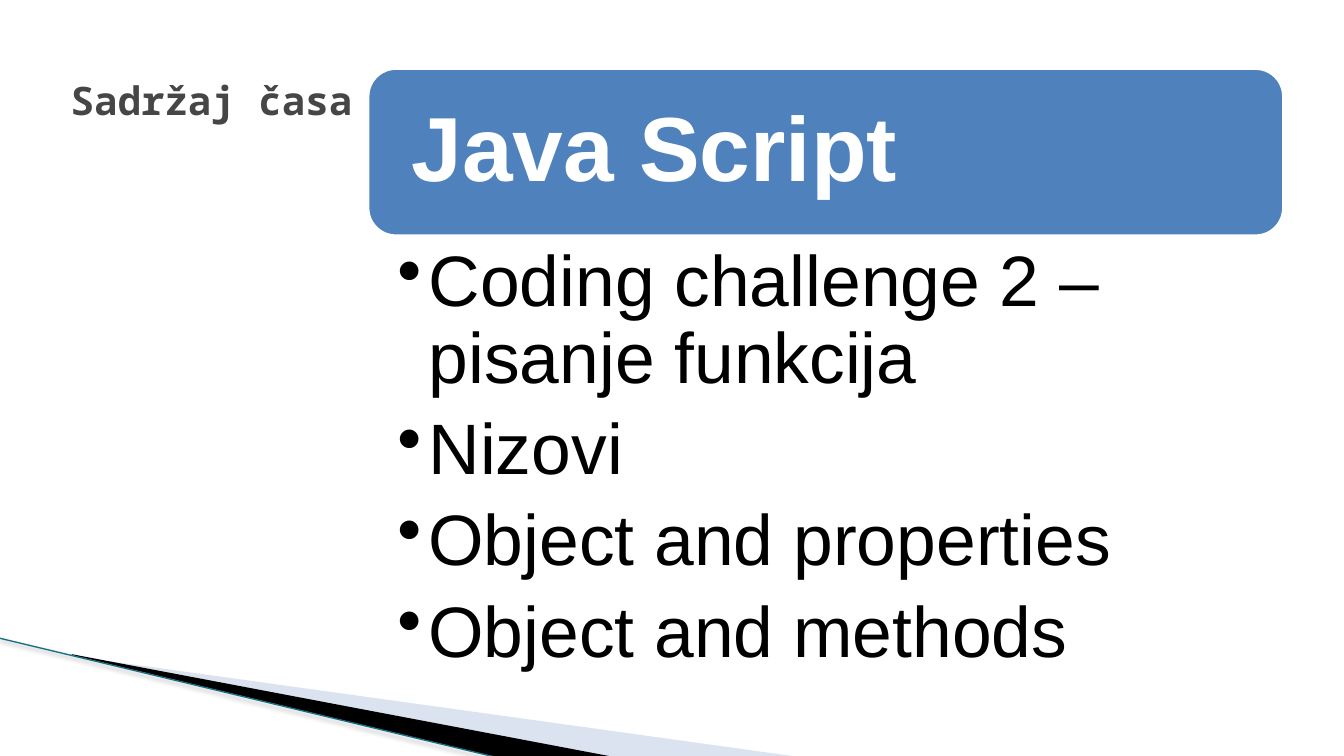
import pptx
import pptx.util
import pptx.dml.color
import pptx.enum.shapes
import pptx.enum.text
import pptx.oxml
import pptx.oxml.ns

TITLE = "Sadržaj časa"
TOPIC = "Java Script"
LESSONS = [
    "Coding challenge 2 – pisanje funkcija",
    "Nizovi",
    "Object and properties",
    "Object and methods",
]
COLOURS = {"title": "464646", "panel": "4F81BD", "white": "FFFFFF",
           "black": "000000", "pale": "A7B9DB", "edge": "196F85"}
FONTS = {
    "title": {"name": "Noto Sans Mono", "size": 28, "bold": True, "colour": "title"},
    "topic": {"name": "Arial", "size": 65, "bold": True, "colour": "white"},
    "lesson": {"name": "Arial", "size": 51, "bold": False, "colour": "black"},
}
WEDGES = [
    ("pale", 40, [(0.73, 6.51), (7.93, 7.51), (6.08, 7.51), (0.73, 6.5)]),
    ("black", 100, [(0.71, 6.49), (6.09, 7.51), (4.96, 7.52), (0.72, 6.5)]),
]
EDGE = [(-0.01, 6.33), (4.95, 7.52)]
WIDTH, HEIGHT = 13.33, 7.5
TITLE_AREA = (0.6, 0.27, 11.41, 1.45)
PANEL_LEFT, PANEL_TOP, PANEL_WIDTH, PANEL_HEIGHT = 3.65, 0.68, 9.08, 1.66
LIST_TOP = PANEL_TOP + PANEL_HEIGHT
LIST_HEIGHT = 4.34
INDENT = 0.31

inches = pptx.util.Inches
points = pptx.util.Pt
LEFT = pptx.enum.text.PP_ALIGN.LEFT
MIDDLE = pptx.enum.text.MSO_ANCHOR.MIDDLE
TOP = pptx.enum.text.MSO_ANCHOR.TOP


def rgb(name):
    return pptx.dml.color.RGBColor.from_string(COLOURS[name])


def drawing_xml(markup):
    return pptx.oxml.parse_xml(
        markup.replace(">", " " + pptx.oxml.ns.nsdecls("a") + ">", 1))


def set_frame(box, anchor, insets):
    frame = box.text_frame
    sides = ("margin_left", "margin_top", "margin_right", "margin_bottom")
    values = {"word_wrap": True, "vertical_anchor": anchor,
              "auto_size": pptx.enum.text.MSO_AUTO_SIZE.NONE}
    values.update(zip(sides, map(inches, insets)))
    for name, value in values.items():
        setattr(frame, name, value)
    return frame


def write(para, text, style, **layout):
    span = para.add_run()
    span.text = text
    values = dict(FONTS[style])
    span.font.color.rgb = rgb(values.pop("colour"))
    values["size"] = points(values["size"])
    for name, value in values.items():
        setattr(span.font, name, value)
    for name, value in {"alignment": LEFT, **layout}.items():
        setattr(para, name, value)


def add_wedge(page, colour, opacity, corners):
    corners = [(inches(x), inches(y)) for x, y in corners]
    builder = page.shapes.build_freeform(*corners[0], scale=1.0)
    builder.add_line_segments(corners[1:], close=True)
    wedge = builder.convert_to_shape()
    wedge.shadow.inherit = False
    wedge.fill.solid()
    wedge.fill.fore_color.rgb = rgb(colour)
    wedge.line.fill.background()
    if opacity < 100:
        tint = wedge._element.spPr.find(".//" + pptx.oxml.ns.qn("a:srgbClr"))
        tint.append(drawing_xml(f'<a:alpha val="{opacity * 1000}"/>'.replace("/>", "></a:alpha>")))


def add_edge(page):
    (x1, y1), (x2, y2) = EDGE
    edge = page.shapes.add_connector(
        pptx.enum.shapes.MSO_CONNECTOR.STRAIGHT, *map(inches, (x1, y1, x2, y2)))
    edge.line.color.rgb = rgb("edge")
    edge.line.width = points(0.96)
    edge._element.spPr.append(drawing_xml(
        f'<a:effectLst><a:outerShdw blurRad="{points(3.1)}" dist="{points(1.6)}" '
        f'dir="5400000" rotWithShape="0"><a:srgbClr val="{COLOURS["black"]}">'
        '<a:alpha val="38000"/></a:srgbClr></a:outerShdw></a:effectLst>'))


def add_title(page):
    title = page.shapes.title
    for name, value in zip(("left", "top", "width", "height"), TITLE_AREA):
        setattr(title, name, inches(value))
    frame = set_frame(title, MIDDLE, (0.1, 0.05, 0.1, 0.05))
    write(frame.paragraphs[0], TITLE, "title")


def add_topic(page):
    panel = page.shapes.add_shape(
        pptx.enum.shapes.MSO_SHAPE.ROUNDED_RECTANGLE,
        *map(inches, (PANEL_LEFT, PANEL_TOP, PANEL_WIDTH, PANEL_HEIGHT)))
    panel.shadow.inherit = False
    panel.fill.solid()
    panel.fill.fore_color.rgb = rgb("panel")
    panel.line.color.rgb = rgb("white")
    panel.line.width = points(2)
    frame = set_frame(panel, MIDDLE, (0.35,) * 4)
    write(frame.paragraphs[0], TOPIC, "topic", line_spacing=0.9)


def add_lessons(page):
    box = page.shapes.add_textbox(
        *map(inches, (PANEL_LEFT, LIST_TOP, PANEL_WIDTH, LIST_HEIGHT)))
    frame = set_frame(box, TOP, (0.29, 0.09, 0.51, 0.09))
    for number, lesson in enumerate(LESSONS):
        para = frame.add_paragraph() if number else frame.paragraphs[0]
        layout = para._p.get_or_add_pPr()
        layout.set("marL", str(inches(INDENT)))
        layout.set("indent", str(-inches(INDENT)))
        layout.append(drawing_xml('<a:buChar char="•"></a:buChar>'))
        write(para, lesson, "lesson", line_spacing=0.9, space_after=points(10))


def main():
    deck = pptx.Presentation()
    deck.slide_width, deck.slide_height = inches(WIDTH), inches(HEIGHT)
    page = deck.slides.add_slide(deck.slide_layouts.get_by_name("Title Only"))
    for wedge in WEDGES:
        add_wedge(page, *wedge)
    add_edge(page)
    add_title(page)
    add_topic(page)
    add_lessons(page)
    deck.save("out.pptx")


if __name__ == "__main__":
    main()
